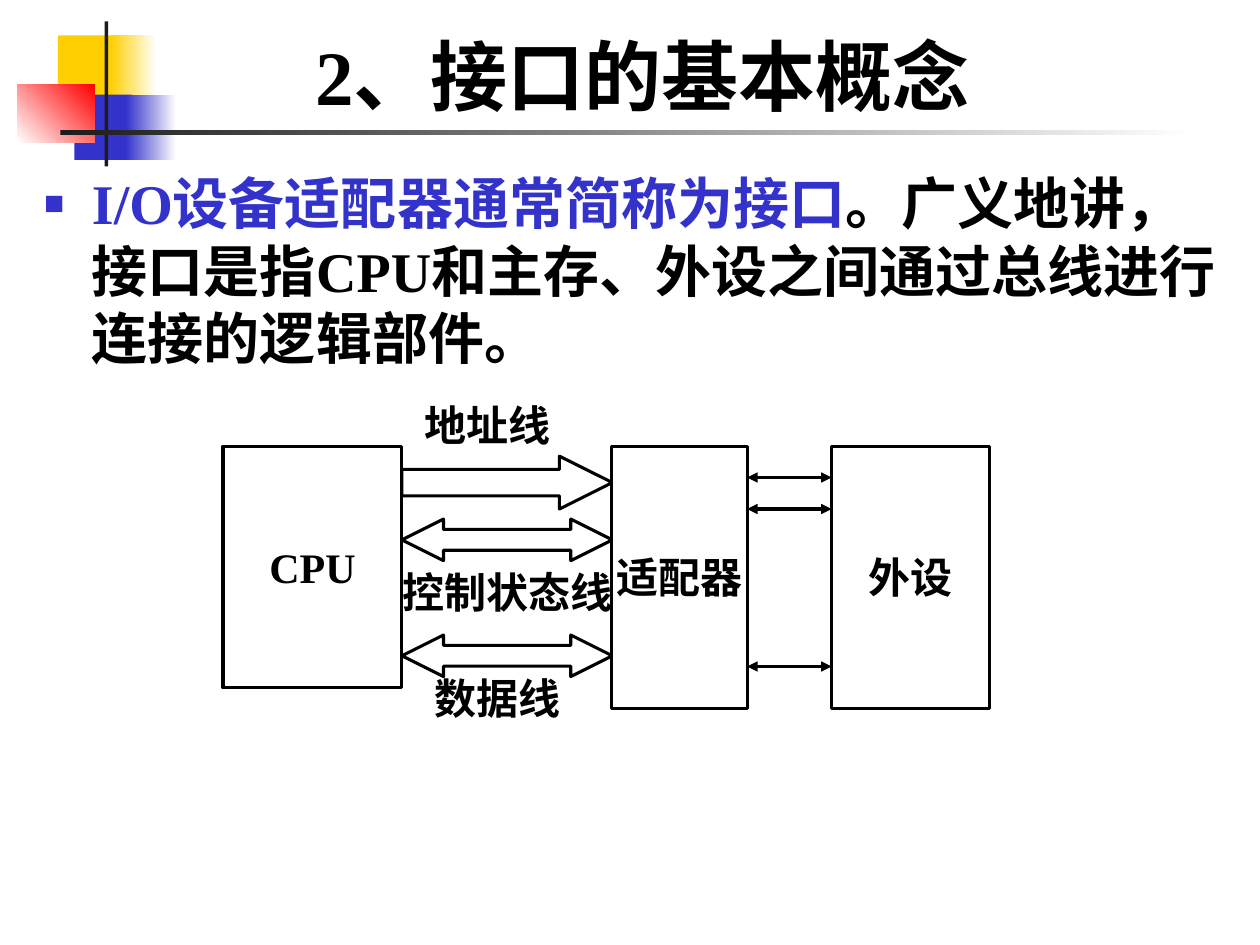
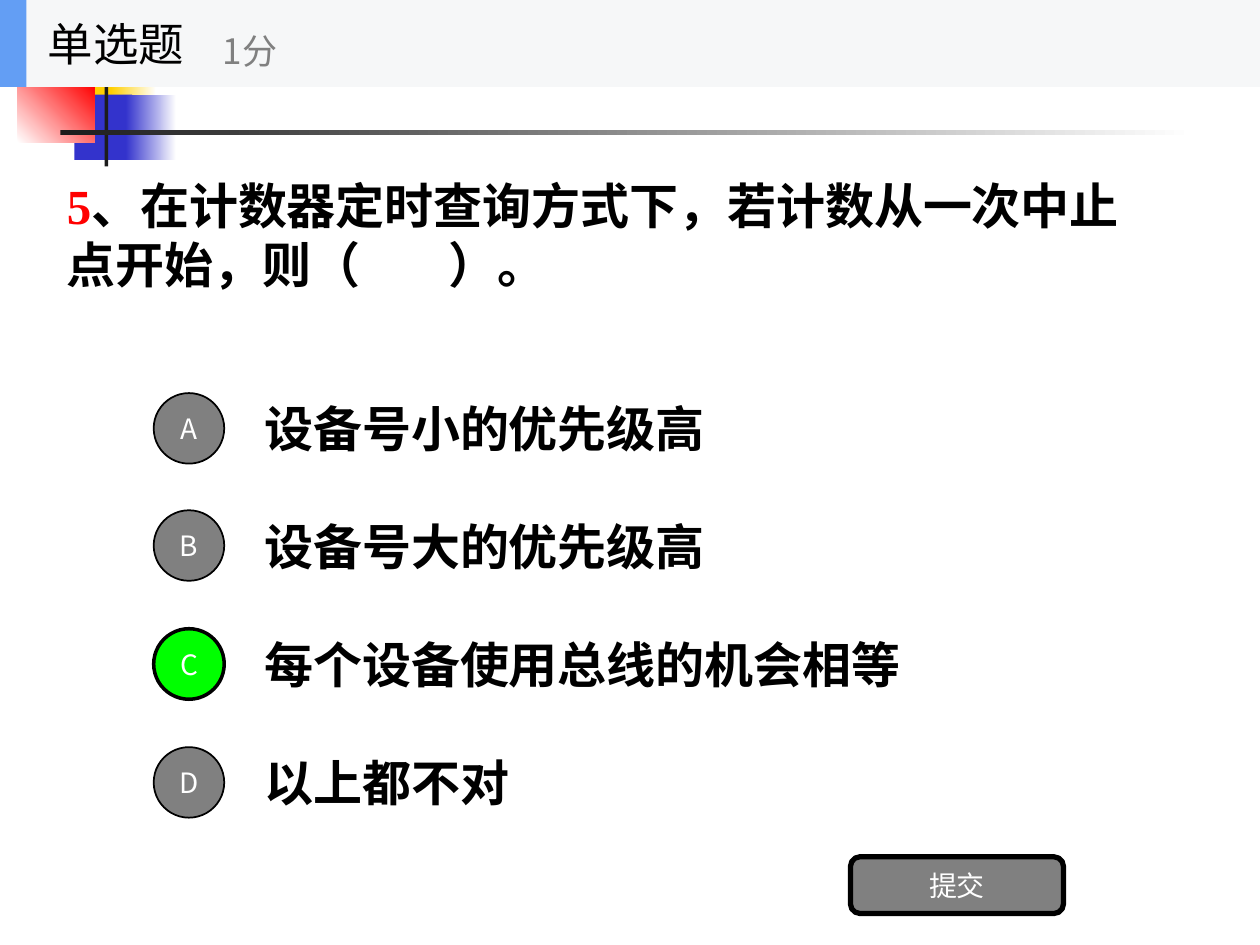
from dataclasses import dataclass

from lxml.etree import SubElement
from pptx import Presentation
from pptx.dml.color import RGBColor
from pptx.enum.shapes import MSO_CONNECTOR, MSO_SHAPE
from pptx.enum.text import MSO_ANCHOR, MSO_AUTO_SIZE, PP_ALIGN
from pptx.oxml.ns import qn
from pptx.util import Pt

# Lengths are px, 100 to the inch
PX = 9144

BLACK = RGBColor(0x00, 0x00, 0x00)
WHITE = RGBColor(0xFF, 0xFF, 0xFF)
INK = RGBColor(0x1C, 0x1C, 0x1C)
BLUE = RGBColor(0x33, 0x33, 0xCC)
YELLOW = RGBColor(0xFF, 0xCF, 0x01)
RED = RGBColor(0xFF, 0x00, 0x00)
GREEN = RGBColor(0x00, 0xFF, 0x00)
GREY = RGBColor(0x80, 0x80, 0x80)
HEADER_GREY = RGBColor(0xF6, 0xF7, 0xF8)
HEADER_BLUE = RGBColor(0x63, 0x9E, 0xF4)

SERIF = "Times New Roman"
LABEL = "Karla"
SANS = "Noto Sans CJK SC"


@dataclass(frozen=True)
class Area:
    left: int
    top: int
    width: int
    height: int

    def emu(self) -> tuple:
        return tuple(n * PX for n in (self.left, self.top, self.width, self.height))


@dataclass(frozen=True)
class Span:
    text: str
    color: RGBColor = BLACK


@dataclass(frozen=True)
class Band:
    area: Area
    start: RGBColor
    end: RGBColor | None = None
    angle: int = 0


@dataclass(frozen=True)
class Node:
    text: str
    area: Area
    font: str


@dataclass(frozen=True)
class Arrow:
    kind: MSO_SHAPE
    top: int
    height: int


@dataclass(frozen=True)
class Option:
    letter: str
    text: str
    correct: bool = False


# Decoration shared by all slides
BANDS = [
    Band(Area(46, 28, 48, 52), YELLOW),
    Band(Area(88, 28, 36, 52), YELLOW, WHITE),
    Band(Area(59, 75, 46, 52), BLUE),
    Band(Area(100, 75, 40, 52), BLUE, WHITE),
    Band(Area(14, 67, 61, 46), WHITE, RED, 45),
    Band(Area(83, 17, 3, 115), INK),
    Band(Area(48, 103, 900, 4), INK, WHITE),
]

# Interface diagram
CPU = Node("CPU", Area(177, 354, 142, 192), SERIF)
ADAPTER = Node("适配器", Area(485, 354, 108, 208), LABEL)
DEVICE = Node("外设", Area(660, 354, 125, 208), LABEL)
BUS_ARROWS = [
    Arrow(MSO_SHAPE.RIGHT_ARROW, 362, 42),
    Arrow(MSO_SHAPE.LEFT_RIGHT_ARROW, 412, 33),
    Arrow(MSO_SHAPE.LEFT_RIGHT_ARROW, 504, 33),
]
BUS_LABELS = [
    Node("地址线", Area(327, 312, 183, 50), LABEL),
    Node("控制状态线", Area(310, 445, 217, 50), LABEL),
    Node("数据线", Area(335, 529, 183, 50), LABEL),
]
LINK_HEIGHTS = (379, 404, 529)

OPTIONS = [
    Option("A", "设备号小的优先级高"),
    Option("B", "设备号大的优先级高"),
    Option("C", "每个设备使用总线的机会相等", correct=True),
    Option("D", "以上都不对"),
]


def write(box, *spans: Span, size: int, font: str = SERIF, bold: bool = False,
          align: PP_ALIGN = PP_ALIGN.LEFT, anchor: MSO_ANCHOR = MSO_ANCHOR.MIDDLE,
          wrap: bool = True) -> None:
    """Fill the first paragraph of a box with formatted spans."""
    frame = box.text_frame
    frame.auto_size = MSO_AUTO_SIZE.NONE
    frame.word_wrap = wrap
    frame.vertical_anchor = anchor
    para = frame.paragraphs[0]
    para.alignment = align
    para.space_before = Pt(0)
    for span in spans:
        run = para.add_run()
        run.text = span.text
        run.font.size = Pt(size)
        run.font.bold = bold
        run.font.color.rgb = span.color
        run.font.name = font
        east_asian = SANS if font == SANS else LABEL
        SubElement(run.font._element, qn("a:ea"), typeface=east_asian)


def place(box, area: Area):
    box.left, box.top, box.width, box.height = area.emu()
    return box


def add_text(page, area: Area, text: str, color: RGBColor = BLACK, **style) -> None:
    write(page.shapes.add_textbox(*area.emu()), Span(text, color), **style)


def add_block(page, kind: MSO_SHAPE, area: Area, fill: RGBColor, line: float = 0):
    block = page.shapes.add_shape(kind, *area.emu())
    block.shadow.inherit = False
    block.fill.solid()
    block.fill.fore_color.rgb = fill
    if line:
        block.line.color.rgb = BLACK
        block.line.width = Pt(line)
    else:
        block.line.fill.background()
    return block


def add_bands(page) -> None:
    for band in BANDS:
        block = add_block(page, MSO_SHAPE.RECTANGLE, band.area, band.start)
        if band.end is not None:
            block.fill.gradient()
            block.fill.gradient_angle = band.angle
            for stop, color in zip(block.fill.gradient_stops, (band.start, band.end)):
                stop.color.rgb = color


def add_node(page, node: Node) -> None:
    block = add_block(page, MSO_SHAPE.RECTANGLE, node.area, WHITE, 1.75)
    write(block, Span(node.text), size=24, font=node.font, bold=True,
          align=PP_ALIGN.CENTER, wrap=False)


def add_link(page, left: int, right: int, height: int) -> None:
    link = page.shapes.add_connector(
        MSO_CONNECTOR.STRAIGHT, left * PX, height * PX, right * PX, height * PX)
    link.line.color.rgb = BLACK
    link.line.width = Pt(1.75)
    outline = link.line._get_or_add_ln()
    for end in ("a:headEnd", "a:tailEnd"):
        SubElement(outline, qn(end), type="triangle")
    SubElement(link._element.spPr, qn("a:effectLst"))


def add_bullet(para) -> None:
    properties = para._p.get_or_add_pPr()
    properties.set("marL", str(38 * PX))
    properties.set("indent", str(-38 * PX))
    color = SubElement(properties, qn("a:buClr"))
    SubElement(color, qn("a:srgbClr"), val=str(BLUE))
    SubElement(properties, qn("a:buSzPct"), val="60000")
    SubElement(properties, qn("a:buChar"), char="■")


def add_tab(para, position: int) -> None:
    stops = SubElement(para._p.get_or_add_pPr(), qn("a:tabLst"))
    SubElement(stops, qn("a:tab"), pos=str(position * PX), algn="l")


def build_interface_slide(deck) -> None:
    page = deck.slides.add_slide(deck.slide_layouts[1])
    add_bands(page)

    # Title and definition
    title = place(page.shapes.title, Area(42, 8, 936, 93))
    write(title, Span("2、接口的基本概念"), size=44, bold=True,
          align=PP_ALIGN.CENTER, anchor=MSO_ANCHOR.BOTTOM)
    body = place(page.placeholders[1], Area(25, 129, 954, 596))
    add_bullet(body.text_frame.paragraphs[0])
    write(body, Span("I/O设备适配器通常简称为接口", BLUE),
          Span("。广义地讲，接口是指CPU和主存、外设之间通过总线进行连接的逻辑部件。"),
          size=32, bold=True, anchor=MSO_ANCHOR.TOP)

    # Bus between CPU and adapter
    add_node(page, CPU)
    bus_left = CPU.area.left + CPU.area.width
    bus_width = ADAPTER.area.left - bus_left + 1
    for arrow in BUS_ARROWS:
        area = Area(bus_left, arrow.top, bus_width, arrow.height)
        block = add_block(page, arrow.kind, area, WHITE, 1.75)
        block.adjustments[0] = 0.5
        block.adjustments[1] = 1.0
    for label in BUS_LABELS:
        add_text(page, label.area, label.text, size=24, font=label.font, bold=True,
                 anchor=MSO_ANCHOR.TOP)

    # Links between adapter and device
    add_node(page, ADAPTER)
    for height in LINK_HEIGHTS:
        add_link(page, ADAPTER.area.left + ADAPTER.area.width, DEVICE.area.left, height)
    add_node(page, DEVICE)


def build_question_slide(deck) -> None:
    page = deck.slides.add_slide(deck.slide_layouts[5])
    add_bands(page)

    # Question, with a tab as the gap to fill in
    question = place(page.shapes.title, Area(43, 69, 882, 234))
    add_tab(question.text_frame.paragraphs[0], 303)
    write(question, Span("5", RED),
          Span("、在计数器定时查询方式下，若计数从一次中止点开始，则（\t）。"),
          size=28, bold=True)

    # Answer options
    for index, option in enumerate(OPTIONS):
        top = 305 + index * 281 // 3
        add_text(page, Area(200, top, 700, 70), option.text, size=28, bold=True)
        fill, line = (GREEN, 2) if option.correct else (GREY, 1)
        circle = add_block(page, MSO_SHAPE.OVAL, Area(122, top + 7, 56, 56), fill, line)
        write(circle, Span(option.letter, WHITE), size=16, font=SANS,
              align=PP_ALIGN.CENTER, wrap=False)

    # Submit button
    button = add_block(page, MSO_SHAPE.ROUNDED_RECTANGLE, Area(675, 680, 169, 45), GREY, 3)
    write(button, Span("提交", WHITE), size=16, font=SANS,
          align=PP_ALIGN.CENTER, wrap=False)

    # Header
    add_block(page, MSO_SHAPE.RECTANGLE, Area(0, 0, 1000, 69), HEADER_GREY)
    add_block(page, MSO_SHAPE.RECTANGLE, Area(0, 0, 21, 69), HEADER_BLUE)
    add_text(page, Area(28, 0, 208, 69), "单选题", size=26, font=SANS)
    add_text(page, Area(167, 12, 250, 56), "1分", GREY, size=20, font=SANS)


def main() -> None:
    deck = Presentation()
    deck.slide_width = 1000 * PX
    deck.slide_height = 750 * PX
    build_interface_slide(deck)
    build_question_slide(deck)
    deck.save("out.pptx")


if __name__ == "__main__":
    main()
